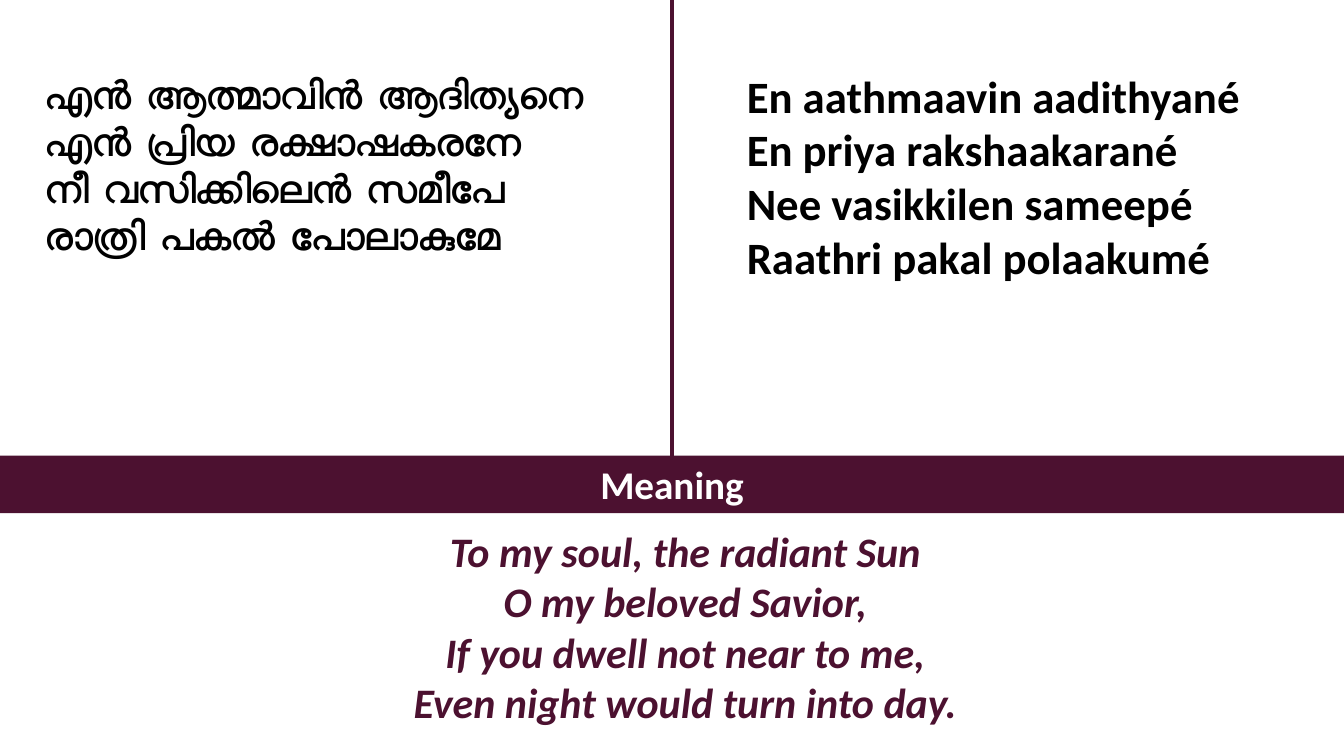
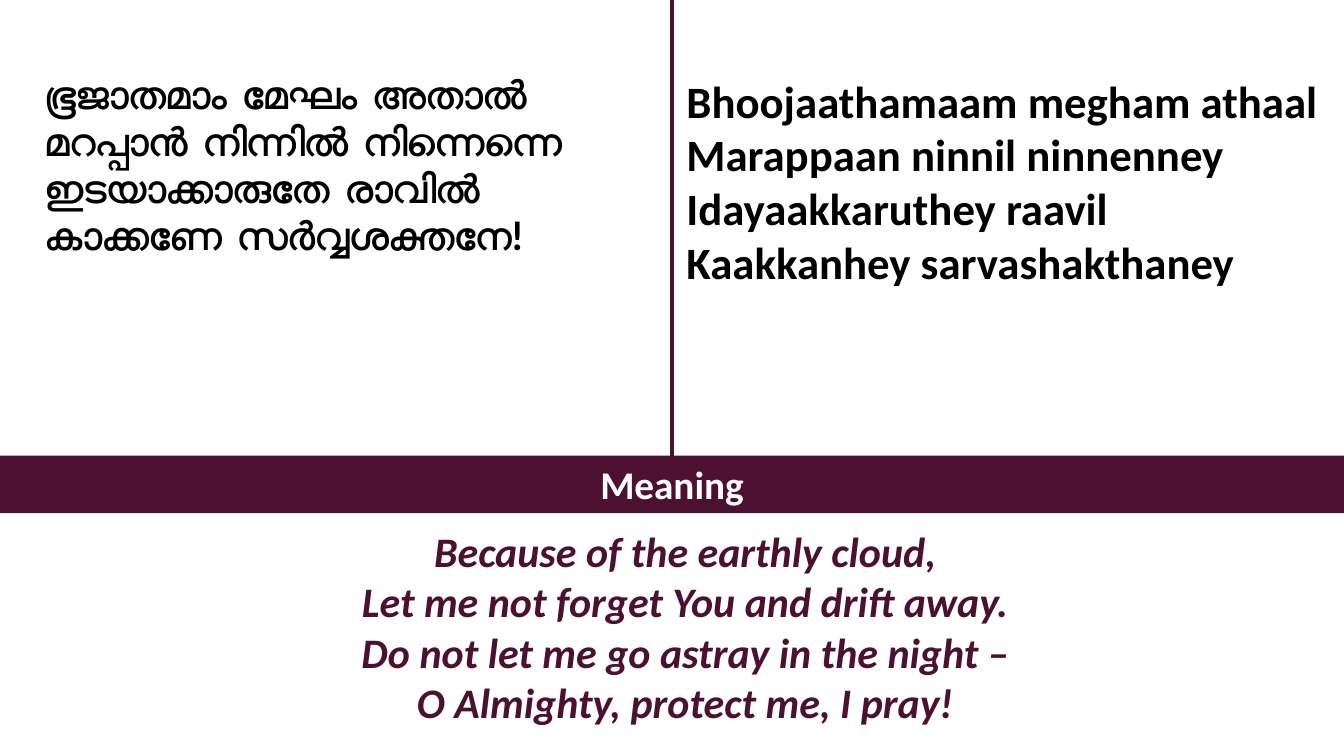
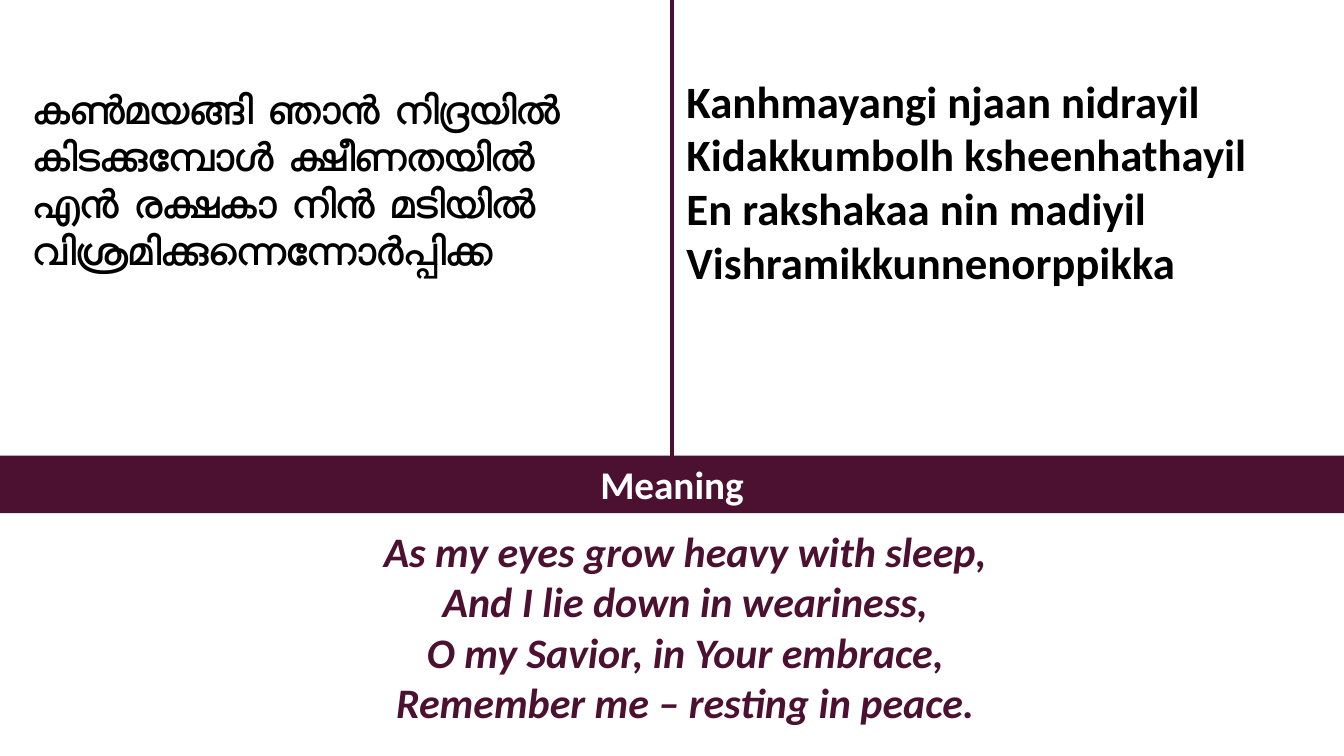
from dataclasses import dataclass

from lxml.etree import SubElement
from pptx import Presentation
from pptx.dml.color import RGBColor
from pptx.enum.shapes import MSO_CONNECTOR, MSO_SHAPE
from pptx.enum.text import MSO_ANCHOR, PP_ALIGN
from pptx.oxml.ns import qn
from pptx.util import Cm, Pt


@dataclass(frozen=True)
class Theme:
    plum = RGBColor(0x4C, 0x11, 0x30)
    black = RGBColor(0, 0, 0)
    white = RGBColor(0xFF, 0xFF, 0xFF)
    page_width = Cm(33.87)
    page_height = Cm(19.05)
    band_top = Cm(11.48)
    band_height = Cm(1.45)
    divider_width = Pt(3)
    malayalam_pitch = Pt(33.6)


THEME = Theme()

# Type styles
MALAYALAM = {"name": "Lato", "size": Pt(28), "bold": True, "color": THEME.black}
ROMAN = {"name": "Calibri", "size": Pt(32), "bold": True, "color": THEME.black}
MEANING = {"name": "Calibri", "size": Pt(30), "bold": True, "italic": True,
           "color": THEME.plum}
BAND = {"name": "Calibri", "size": Pt(28), "bold": True, "color": THEME.white}

# Text frame settings
PLAIN_FRAME = {"word_wrap": True, "margin_left": Cm(0.25), "margin_right": Cm(0.25),
               "margin_top": Cm(0.13), "margin_bottom": Cm(0.13)}
MALAYALAM_FRAME = PLAIN_FRAME | {"vertical_anchor": MSO_ANCHOR.MIDDLE,
                                 "margin_bottom": Cm(2.95)}
ROMAN_FRAME = PLAIN_FRAME | {"margin_left": Cm(0.3), "margin_right": Cm(0.3),
                             "margin_top": Cm(0.15), "margin_bottom": Cm(0.15)}
BAND_FRAME = PLAIN_FRAME | {"vertical_anchor": MSO_ANCHOR.MIDDLE}

# Verses: places are (left, top) in centimetres
VERSES = [
    {
        "malayalam_at": (0.89, -0.18),
        "malayalam": ["എൻ ആത്മാവിൻ ആദിത്യനെ", "എൻ പ്രിയ രക്ഷാഷകരനേ",
                      "നീ വസിക്കിലെൻ സമീപേ", "രാത്രി പകൽ പോലാകുമേ"],
        "roman_at": (18.52, 1.57),
        "roman": ["En aathmaavin aadithyané", "En priya rakshaakarané",
                  "Nee vasikkilen sameepé", "Raathri pakal polaakumé"],
        "meaning": ["To my soul, the radiant Sun", "O my beloved Savior,",
                    "If you dwell not near to me,",
                    "Even night would turn into day."],
    },
    {
        "malayalam_at": (0.89, -0.18),
        "malayalam": ["ഭൂജാതമാം മേഘം അതാൽ", "മറപ്പാൻ നിന്നിൽ നിന്നെന്നെ",
                      "ഇടയാക്കാരുതേ രാവിൽ", "കാക്കണേ സർവ്വശക്തനേ!"],
        "roman_at": (17, 1.7),
        "roman": ["Bhoojaathamaam megham athaal", "Marappaan ninnil ninnenney",
                  "Idayaakkaruthey raavil", "Kaakkanhey sarvashakthaney"],
        "meaning": ["Because of the earthly cloud,",
                    "Let me not forget You and drift away.",
                    "Do not let me go astray in the night –",
                    "O Almighty, protect me, I pray!"],
    },
    {
        "malayalam_at": (0.58, 0.18),
        "malayalam": ["കൺമയങ്ങി ഞാൻ നിദ്രയിൽ", "കിടക്കുമ്പോൾ ക്ഷീണതയിൽ",
                      "എൻ രക്ഷകാ നിൻ മടിയിൽ", "വിശ്രമിക്കുന്നെന്നോർപ്പിക്ക"],
        "roman_at": (17, 1.7),
        "roman": ["Kanhmayangi njaan nidrayil", "Kidakkumbolh ksheenhathayil",
                  "En rakshakaa nin madiyil", "Vishramikkunnenorppikka"],
        "meaning": ["As my eyes grow heavy with sleep,",
                    "And I lie down in weariness,", "O my Savior, in Your embrace,",
                    "Remember me – resting in peace."],
    },
]


def apply(target, values):
    """Set each value of a format dict on the target."""
    for name, value in values.items():
        if name == "color":
            target.color.rgb = value
        else:
            setattr(target, name, value)


def write_lines(shape, lines, style, frame_format, align, pitch=None):
    """Fill a shape with one paragraph per line."""
    frame = shape.text_frame
    apply(frame, frame_format)
    for index, line in enumerate(lines):
        para = frame.paragraphs[0] if index == 0 else frame.add_paragraph()
        apply(para, {"alignment": align, "line_spacing": pitch})
        span = para.add_run()
        span.text = line
        apply(span.font, style)


def add_lines(page, place, size, lines, style, frame_format,
              align=PP_ALIGN.LEFT, pitch=None):
    box = page.shapes.add_textbox(*map(Cm, place + size))
    write_lines(box, lines, style, frame_format, align, pitch)


def add_band(page, label):
    band = page.shapes.add_shape(MSO_SHAPE.RECTANGLE, 0, THEME.band_top,
                                 THEME.page_width, THEME.band_height)
    band.shadow.inherit = False
    band.fill.solid()
    band.fill.fore_color.rgb = THEME.plum
    band.line.fill.background()
    write_lines(band, [label], BAND, BAND_FRAME, PP_ALIGN.CENTER)


def add_divider(page):
    middle = THEME.page_width // 2
    divider = page.shapes.add_connector(MSO_CONNECTOR.STRAIGHT, middle, 0,
                                        middle, THEME.band_top)
    apply(divider.line, {"color": THEME.plum, "width": THEME.divider_width})
    SubElement(divider._element.spPr, qn("a:effectLst"))


def add_verse(deck, verse):
    page = deck.slides.add_slide(deck.slide_layouts[6])
    # Two scripts side by side
    add_lines(page, verse["malayalam_at"], (15.67, 11.48), verse["malayalam"],
              MALAYALAM, MALAYALAM_FRAME, pitch=THEME.malayalam_pitch)
    add_lines(page, verse["roman_at"], (16.59, 8.86), verse["roman"],
              ROMAN, ROMAN_FRAME)
    # Translation under the band
    add_lines(page, (2.67, 13.11), (29.21, 5.38), verse["meaning"],
              MEANING, PLAIN_FRAME, PP_ALIGN.CENTER)
    add_band(page, "Meaning")
    add_divider(page)


def main():
    deck = Presentation()
    apply(deck, {"slide_width": THEME.page_width, "slide_height": THEME.page_height})
    for verse in VERSES:
        add_verse(deck, verse)
    deck.save("out.pptx")


if __name__ == "__main__":
    main()
